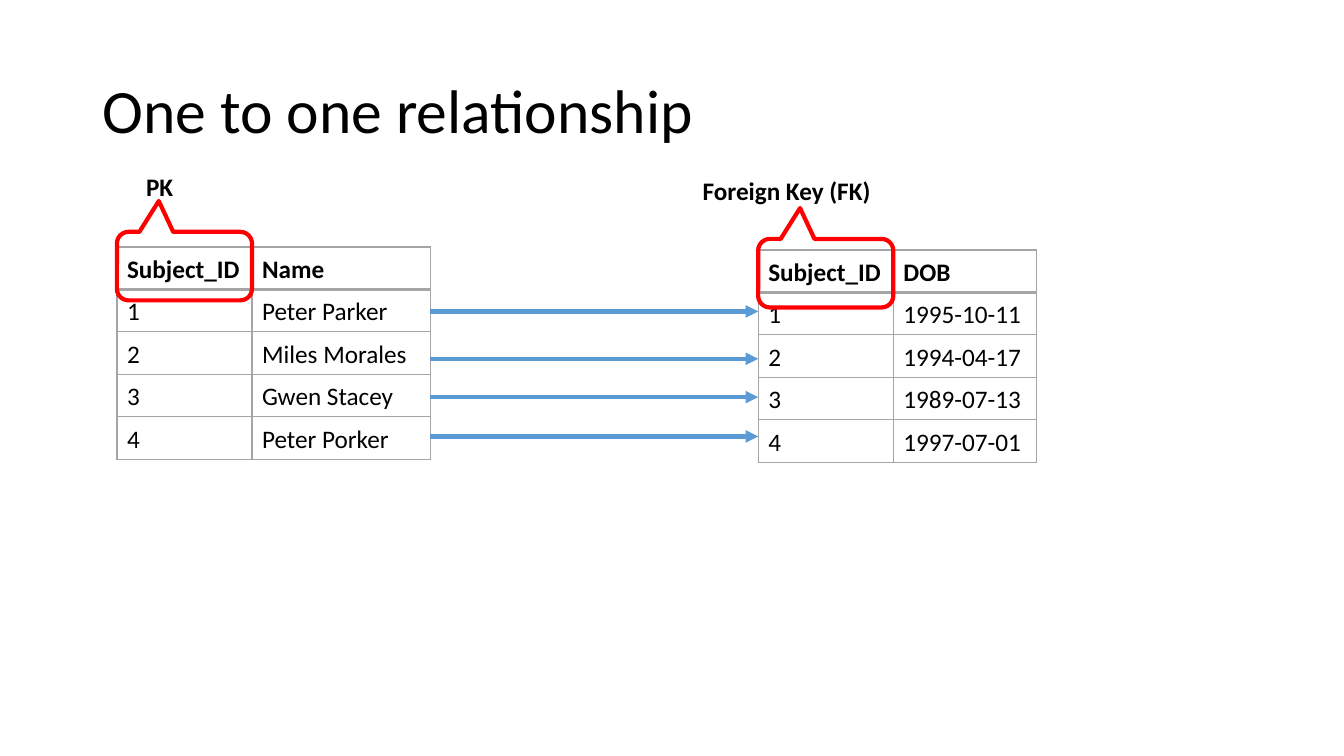
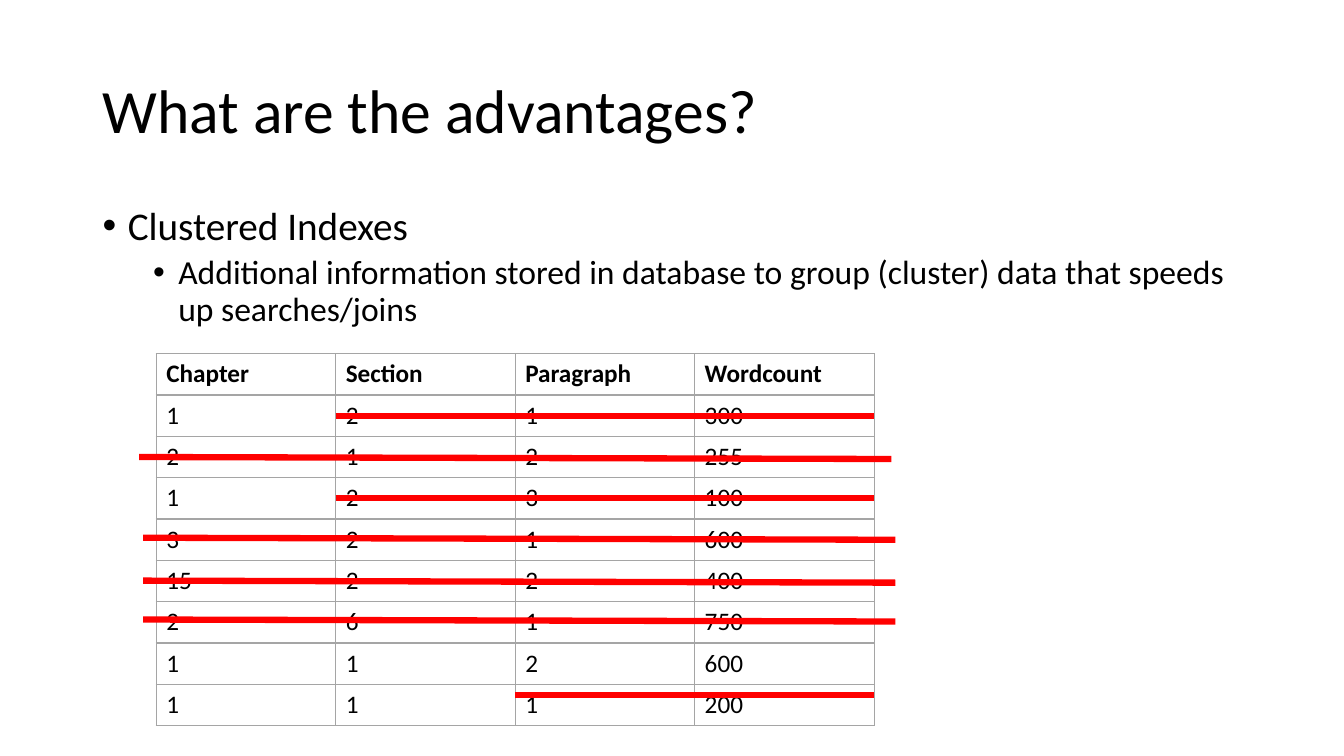
import pptx
import pptx.util
import pptx.dml.color
import pptx.enum.text
import pptx.enum.shapes
import pptx.oxml
import pptx.oxml.ns

Inch, Pt = pptx.util.Inches, pptx.util.Pt
Shape = pptx.enum.shapes.MSO_SHAPE
Link = pptx.enum.shapes.MSO_CONNECTOR
Anchor = pptx.enum.text.MSO_ANCHOR
qn = pptx.oxml.ns.qn

# Content
KEYS = {
    "title": "One to one relationship",
    "tables": [
        {"at": (1.16, 2.45), "cols": (1.34, 1.77), "rows": [
            ("Subject_ID", "Name"),
            ("1", "Peter Parker"),
            ("2", "Miles Morales"),
            ("3", "Gwen Stacey"),
            ("4", "Peter Porker")]},
        {"at": (7.52, 2.48), "cols": (1.34, 1.42), "rows": [
            ("Subject_ID", "DOB"),
            ("1", "1995-10-11"),
            ("2", "1994-04-17"),
            ("3", "1989-07-13"),
            ("4", "1997-07-01")]}],
    # label, label place and width, top of its callout
    "labels": [("PK", (1.35, 1.65, 0.49), 2.3),
               ("Foreign Key (FK)", (6.87, 1.69, 2.03), 2.37)],
    "arrows": (3.09, 3.56, 3.94, 4.33),
}
GAINS = {
    "title": "What are the advantages?",
    "points": [
        (0, "Clustered Indexes"),
        (1, "Additional information stored in database to group (cluster) "
            "data that speeds up searches/joins")],
    "table": {"at": (1.55, 3.51), "cols": (1.78,) * 4, "rows": [
        ("Chapter", "Section", "Paragraph", "Wordcount"),
        (1, 2, 1, 300),
        (2, 1, 2, 255),
        (1, 2, 3, 100),
        (3, 2, 1, 600),
        (15, 2, 2, 400),
        (2, 6, 1, 750),
        (1, 1, 2, 600),
        (1, 1, 1, 200)]},
    # row, first column struck, shift right, shift down
    "strikes": [(2, 0, -0.04, 0.01), (4, 0, 0, 0), (6, 0, 0, 0),
                (5, 0, 0, 0.02), (1, 1, 0, 0.01), (3, 1, 0, 0.01),
                (8, 2, 0, -0.06)],
}

# Shared look
WIDE, HIGH = 13.33, 7.5
EDGE, SPAN = 0.92, 11.5
ROW = 0.41
COLORS = {"ink": "000000", "grid": "A5A5A5", "mark": "FF0000", "arrow": "5B9BD5"}
HEAD = {"size": Pt(44), "bold": False}
CELL = {"size": Pt(18), "bold": False}
BOLD = {"size": Pt(18), "bold": True}
TIGHT = {"line_spacing": 0.9}
LOOSE = {"line_spacing": 1.07, "space_after": Pt(8)}
LEVELS = [  # font, spacing, left indent
    ({"size": Pt(28)}, {"level": 0, "space_before": Pt(10), **TIGHT}, 0.25),
    ({"size": Pt(24)}, {"level": 1, "space_before": Pt(5), **TIGHT}, 0.75)]


def tint(name):
    return pptx.dml.color.RGBColor.from_string(COLORS[name])


def apply(item, looks):
    for key, value in looks.items():
        setattr(item, key, value)


def write(para, text, font, gaps=None):
    run = para.add_run()
    run.text = str(text)
    apply(run.font, {"name": "Calibri", **font})
    run.font.color.rgb = tint("ink")
    apply(para, gaps or {})


def add_box(slide, place, **looks):
    frame = slide.shapes.add_textbox(*map(Inch, place)).text_frame
    apply(frame, {"word_wrap": True, **looks})
    return frame


def add_title(slide, text):
    frame = add_box(slide, (EDGE, 0.4, SPAN, 1.45), vertical_anchor=Anchor.MIDDLE)
    write(frame.paragraphs[0], text, HEAD, TIGHT)


def add_points(slide, points):
    frame = add_box(slide, (EDGE, 2, SPAN, 4.76))
    for i, (level, text) in enumerate(points):
        para = frame.add_paragraph() if i else frame.paragraphs[0]
        font, gaps, indent = LEVELS[level]
        write(para, text, font, gaps)
        props = para._p.get_or_add_pPr()
        props.set("marL", str(Inch(indent)))
        props.set("indent", str(Inch(-0.25)))
        for tag, key, value in (("a:buFont", "typeface", "Arial"),
                                ("a:buChar", "char", "•")):
            node = pptx.oxml.parse_xml(f'<{tag} {pptx.oxml.ns.nsdecls("a")}/>')
            node.set(key, value)
            props.append(node)


def add_edges(cell, base):
    props = cell._tc.get_or_add_tcPr()
    for side in "LRTB":
        width = Pt(base if side == "B" else 1)
        props.append(pptx.oxml.parse_xml(
            f'<a:ln{side} {pptx.oxml.ns.nsdecls("a")} w="{width}"><a:solidFill>'
            f'<a:srgbClr val="{COLORS["grid"]}"/></a:solidFill></a:ln{side}>'))


def add_grid(slide, data, gaps=None):
    rows, cols = data["rows"], data["cols"]
    size = (sum(cols), ROW * len(rows))
    grid = slide.shapes.add_table(
        len(rows), len(cols), *map(Inch, data["at"] + size)).table
    apply(grid, {"first_row": False, "horz_banding": False})
    for col, width in zip(grid.columns, cols):
        col.width = Inch(width)
    for r, row in enumerate(rows):
        grid.rows[r].height = Inch(ROW)
        for c, text in enumerate(row):
            cell = grid.cell(r, c)
            add_edges(cell, 1 if r else 2)
            cell.fill.background()
            write(cell.text_frame.paragraphs[0], text, CELL if r else BOLD, gaps)


def add_line(slide, start, end, color, width, arrow=False):
    line = slide.shapes.add_connector(Link.STRAIGHT, *map(Inch, start + end))
    line.line.color.rgb = tint(color)
    line.line.width = Pt(width)
    if arrow:
        tip = line.line._get_or_add_ln().makeelement(qn("a:tailEnd"), {"type": "triangle"})
        line.line._get_or_add_ln().append(tip)
    props = line._element.spPr
    props.append(props.makeelement(qn("a:effectLst"), {}))


def add_callout(slide, place):
    shape = slide.shapes.add_shape(
        Shape.ROUNDED_RECTANGULAR_CALLOUT, *map(Inch, place))
    shape.shadow.inherit = False
    shape.fill.background()
    shape.line.color.rgb = tint("mark")
    shape.line.width = Pt(3)
    for i, value in enumerate((-0.19, -0.95, 0.17)):
        shape.adjustments[i] = value


def draw_keys(slide):
    add_title(slide, KEYS["title"])
    for table in KEYS["tables"]:
        add_grid(slide, table, LOOSE)
    left, right = KEYS["tables"]
    start = left["at"][0] + sum(left["cols"])
    for y in KEYS["arrows"]:
        add_line(slide, (start, y), (right["at"][0], y), "arrow", 3, True)
    for table, (text, place, top) in zip(KEYS["tables"], KEYS["labels"]):
        add_callout(slide, (table["at"][0], top, table["cols"][0], 0.68))
        frame = add_box(slide, place + (0.4,), word_wrap=False)
        write(frame.paragraphs[0], text, BOLD)


def draw_gains(slide):
    add_title(slide, GAINS["title"])
    add_points(slide, GAINS["points"])
    table = GAINS["table"]
    add_grid(slide, table)
    left, top = table["at"]
    end = left + sum(table["cols"])
    for row, col, right, down in GAINS["strikes"]:
        y = top + (row + 0.5) * 3.65 / len(table["rows"]) + down
        x = left + sum(table["cols"][:col])
        # Whole rows are struck past both edges, with a slight tilt
        over, past, tilt = (0, 0, 0) if col else (0.13, 0.21, 0.02)
        add_line(slide, (x - over + right, y), (end + past + right, y + tilt), "mark", 4.5)


def main():
    deck = pptx.Presentation()
    apply(deck, {"slide_width": Inch(WIDE), "slide_height": Inch(HIGH)})
    for draw in (draw_keys, draw_gains):
        draw(deck.slides.add_slide(deck.slide_layouts[6]))
    deck.save("out.pptx")


if __name__ == "__main__":
    main()
